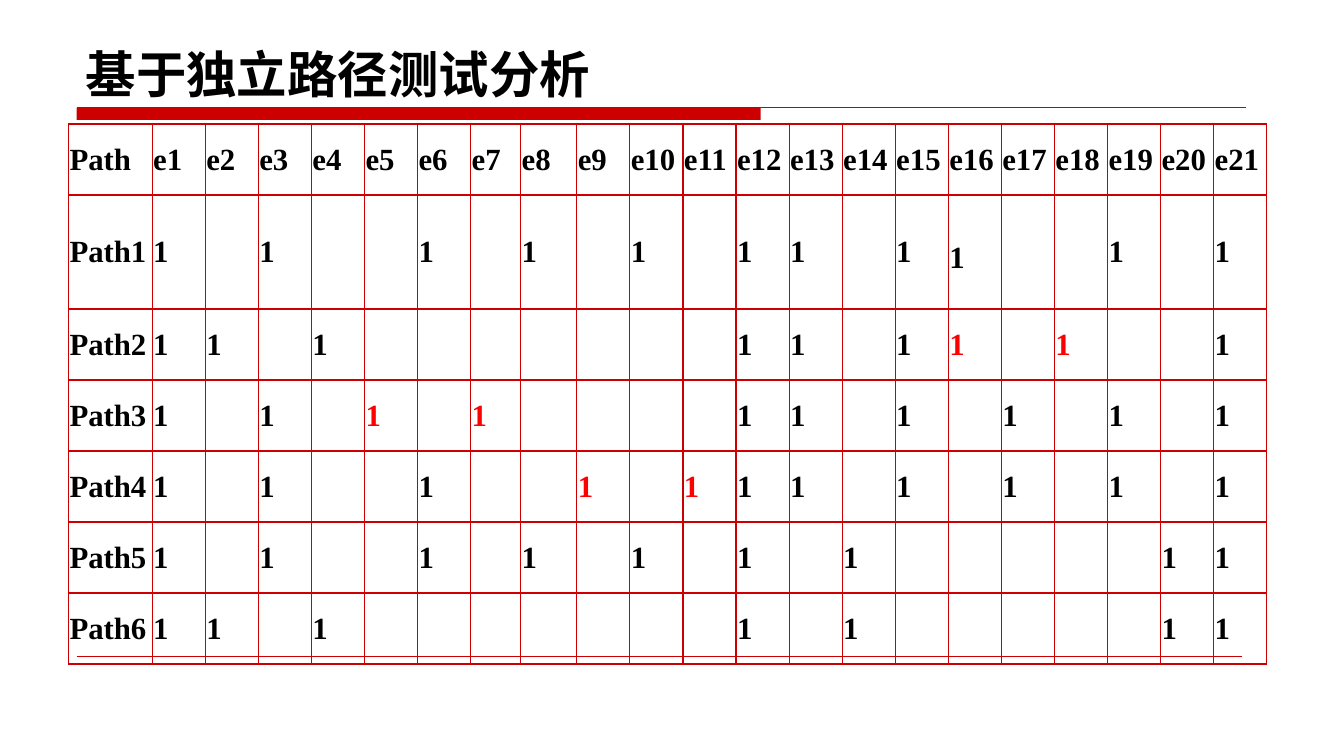
from dataclasses import dataclass

from lxml.etree import SubElement
from pptx import Presentation
from pptx.dml.color import RGBColor as Color
from pptx.enum.shapes import MSO_CONNECTOR as Connector, MSO_SHAPE as Shape
from pptx.enum.text import MSO_ANCHOR as Anchor, PP_ALIGN as Align
from pptx.oxml.ns import qn
from pptx.util import Inches, Pt


@dataclass(frozen=True)
class Theme:
    accent: str = "CC0000"
    text: str = "000000"
    highlight: str = "FF0000"
    title_font: str = "Noto Sans CJK SC"
    table_font: str = "Times New Roman"
    title_size: int = 36
    table_size: int = 22
    border: float = 1
    rule: float = 0.75
    hairline: float = 0.25


THEME = Theme()
TITLE = "基于独立路径测试分析"
EDGE_COUNT = 21

# Edges covered by each path, and those newly covered
PATHS = {
    "Path1": (1, 3, 6, 8, 10, 12, 13, 15, 16, 19, 21),
    "Path2": (1, 2, 4, 12, 13, 15, 16, 18, 21),
    "Path3": (1, 3, 5, 7, 12, 13, 15, 17, 19, 21),
    "Path4": (1, 3, 6, 9, 11, 12, 13, 15, 17, 19, 21),
    "Path5": (1, 3, 6, 8, 10, 12, 14, 20, 21),
    "Path6": (1, 2, 4, 12, 14, 20, 21),
}
NEW_EDGES = {"Path2": (16, 18), "Path3": (5, 7), "Path4": (9, 11)}
LOWERED_CELL = ("Path1", 16)


def format_run(run, font, size, color):
    run.font.name = font
    run.font.size = Pt(size)
    run.font.bold = True
    run.font.color.rgb = Color.from_string(color)
    SubElement(run.font._element, qn("a:ea")).set("typeface", font)


def add_rule(slide, left, top, width, weight):
    line = slide.shapes.add_connector(
        Connector.STRAIGHT, Inches(left), Inches(top), Inches(left + width), Inches(top))
    line.line.color.rgb = Color.from_string(THEME.accent)
    line.line.width = Pt(weight)
    SubElement(line._element.spPr, qn("a:effectLst"))


def add_title(slide, left, top, width, height):
    title = slide.shapes.title
    title.left, title.top = Inches(left), Inches(top)
    title.width, title.height = Inches(width), Inches(height)
    frame = title.text_frame
    frame.text = TITLE
    frame.vertical_anchor = Anchor.BOTTOM
    frame.paragraphs[0].alignment = Align.LEFT
    format_run(frame.paragraphs[0].runs[0], THEME.title_font, THEME.title_size, THEME.text)


def add_title_rule(slide, left, top, width, height):
    # Thick bar over the first part of a thin line
    bar = slide.shapes.add_shape(
        Shape.RECTANGLE, Inches(left), Inches(top), Inches(width * 0.585), Inches(height))
    bar.shadow.inherit = False
    bar.fill.solid()
    bar.fill.fore_color.rgb = Color.from_string(THEME.accent)
    bar.line.fill.background()
    add_rule(slide, left, top, width, THEME.rule)


def format_cell(cell, text, color):
    properties = cell._tc.get_or_add_tcPr()
    for side in ("lnL", "lnR", "lnT", "lnB"):
        border = SubElement(properties, qn(f"a:{side}"), w=str(Pt(THEME.border)))
        fill = SubElement(border, qn("a:solidFill"))
        SubElement(fill, qn("a:srgbClr"), val=THEME.accent)
    cell.fill.background()
    cell.vertical_anchor = Anchor.MIDDLE
    cell.margin_left = cell.margin_right = cell.margin_top = Inches(0.01)
    cell.margin_bottom = 0
    if text:
        cell.text_frame.text = text
        format_run(cell.text_frame.paragraphs[0].runs[0],
                   THEME.table_font, THEME.table_size, color)


def add_path_table(slide, left, top, width, height):
    table = slide.shapes.add_table(
        len(PATHS) + 1, EDGE_COUNT + 1,
        Inches(left), Inches(top), Inches(width), Inches(height)).table
    table.first_row = table.horz_banding = False

    # Equal edge columns, apart from a small shift between e7 and e8
    name_width, shift, tall_row = 0.83, 0.03, 1.13
    edge_width = (width - name_width) / EDGE_COUNT
    for column in table.columns:
        column.width = Inches(edge_width)
    table.columns[0].width = Inches(name_width)
    table.columns[7].width = Inches(edge_width - shift)
    table.columns[8].width = Inches(edge_width + shift)
    for row in table.rows:
        row.height = Inches((height - tall_row) / len(PATHS))
    table.rows[1].height = Inches(tall_row)

    # Header row
    headers = ["Path"] + [f"e{edge}" for edge in range(1, EDGE_COUNT + 1)]
    for column, header in enumerate(headers):
        format_cell(table.cell(0, column), header, THEME.text)

    # Coverage rows
    for row, (name, covered) in enumerate(PATHS.items(), start=1):
        format_cell(table.cell(row, 0), name, THEME.text)
        for edge in range(1, EDGE_COUNT + 1):
            is_new = edge in NEW_EDGES.get(name, ())
            cell = table.cell(row, edge)
            format_cell(cell, "1" if edge in covered else "",
                        THEME.highlight if is_new else THEME.text)
            if (name, edge) == LOWERED_CELL:
                cell.margin_top = Inches(0.12)


def main():
    presentation = Presentation()
    presentation.slide_width, presentation.slide_height = Inches(13.33), Inches(7.5)
    slide = presentation.slides.add_slide(presentation.slide_layouts[5])
    add_title(slide, 0.75, 0.29, 11.67, 0.79)
    add_title_rule(slide, 0.76, 1.07, 11.6, 0.12)
    add_rule(slide, 0.76, 6.51, 11.56, THEME.hairline)
    add_path_table(slide, 0.68, 1.23, 11.89, 5.36)
    presentation.save("out.pptx")


if __name__ == "__main__":
    main()
